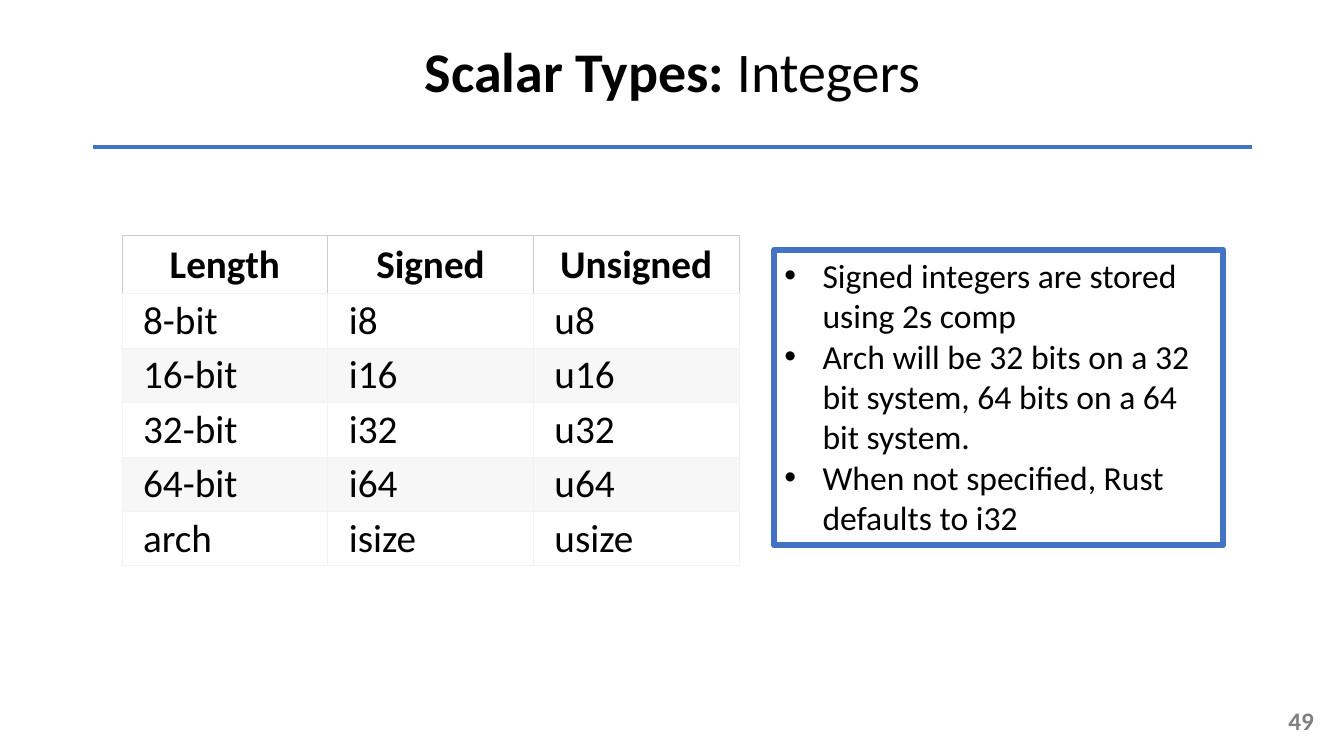
from pptx import Presentation
from pptx.dml.color import RGBColor
from pptx.enum.shapes import MSO_CONNECTOR, MSO_SHAPE
from pptx.enum.text import MSO_ANCHOR, PP_ALIGN
from pptx.oxml.ns import qn
from pptx.util import Inches, Pt
from lxml.etree import SubElement

BLACK = RGBColor(0x00, 0x00, 0x00)
GRAY = RGBColor(0x80, 0x80, 0x80)
BLUE = RGBColor(0x44, 0x72, 0xC4)
BAND = RGBColor(0xF7, 0xF7, 0xF7)
BODY_BORDER = RGBColor(0xF2, 0xF2, 0xF2)
HEADER_BORDER = RGBColor(0xCC, 0xCC, 0xCC)
FONT = "Calibri"

INTEGER_TYPES = [
    ("Length", "Signed", "Unsigned"),
    ("8-bit", "i8", "u8"),
    ("16-bit", "i16", "u16"),
    ("32-bit", "i32", "u32"),
    ("64-bit", "i64", "u64"),
    ("arch", "isize", "usize"),
]
NOTES = [
    "Signed integers are stored using 2s comp",
    "Arch will be 32 bits on a 32 bit system, 64 bits on a 64 bit system.",
    "When not specified, Rust defaults to i32",
]


def format_run(run, size, color=BLACK, bold=False):
    run.font.name = FONT
    run.font.size = Pt(size)
    run.font.bold = bold
    run.font.color.rgb = color


def add_text(slide, box, runs, size, alignment, color=BLACK):
    """Add a one-paragraph text box; runs are (text, bold) pairs."""
    shape = slide.shapes.add_textbox(*map(Inches, box))
    frame = shape.text_frame
    frame.word_wrap = True
    frame.vertical_anchor = MSO_ANCHOR.MIDDLE
    paragraph = frame.paragraphs[0]
    paragraph.alignment = alignment
    for text, bold in runs:
        run = paragraph.add_run()
        run.text = text
        format_run(run, size, color, bold)
    return paragraph


def add_rule(slide, left, right, top):
    rule = slide.shapes.add_connector(
        MSO_CONNECTOR.STRAIGHT, Inches(left), Inches(top), Inches(right), Inches(top))
    rule.line.color.rgb = BLUE
    rule.line.width = Pt(3)
    SubElement(rule._element.spPr, qn("a:effectLst"))


def set_borders(cell, is_header):
    properties = cell._tc.get_or_add_tcPr()
    for side in ("L", "R", "T", "B"):
        color = HEADER_BORDER if is_header and side != "B" else BODY_BORDER
        line = SubElement(properties, qn(f"a:ln{side}"), w=str(Pt(0.75)))
        fill = SubElement(line, qn("a:solidFill"))
        SubElement(fill, qn("a:srgbClr"), val=str(color))


def format_cell(cell, text, row_index):
    is_header = row_index == 0
    set_borders(cell, is_header)
    if not is_header and row_index % 2 == 0:
        cell.fill.solid()
        cell.fill.fore_color.rgb = BAND
    else:
        cell.fill.background()
    cell.vertical_anchor = MSO_ANCHOR.MIDDLE
    if not is_header:
        cell.margin_left = cell.margin_right = Inches(0.21)
        cell.margin_top = cell.margin_bottom = Inches(0.03)
    cell.text = text
    paragraph = cell.text_frame.paragraphs[0]
    paragraph.alignment = PP_ALIGN.CENTER if is_header else PP_ALIGN.LEFT
    format_run(paragraph.runs[0], 28, bold=is_header)


def add_type_table(slide):
    frame = slide.shapes.add_table(
        len(INTEGER_TYPES), len(INTEGER_TYPES[0]),
        Inches(1.21), Inches(2.34), Inches(6.12), Inches(3.27))
    table = frame.table
    table.horz_banding = False
    for row_index, texts in enumerate(INTEGER_TYPES):
        table.rows[row_index].height = Inches(0.54 if row_index else 0.57)
        for column_index, text in enumerate(texts):
            format_cell(table.cell(row_index, column_index), text, row_index)


def add_bullet(paragraph):
    properties = paragraph._p.get_or_add_pPr()
    indent = Inches(0.38)
    properties.set("marL", str(indent))
    properties.set("indent", str(-indent))
    SubElement(properties, qn("a:buFont"), typeface="Arial")
    SubElement(properties, qn("a:buChar"), char="•")


def add_notes_box(slide):
    box = slide.shapes.add_shape(
        MSO_SHAPE.RECTANGLE, Inches(7.68), Inches(2.48), Inches(4.45), Inches(2.93))
    box.shadow.inherit = False
    box.fill.background()
    box.line.color.rgb = BLUE
    box.line.width = Pt(4.5)
    frame = box.text_frame
    frame.word_wrap = True
    frame.vertical_anchor = MSO_ANCHOR.TOP
    frame.text = "\n".join(NOTES)
    for paragraph in frame.paragraphs:
        paragraph.alignment = PP_ALIGN.LEFT
        add_bullet(paragraph)
        format_run(paragraph.runs[0], 24)


def main():
    presentation = Presentation()
    presentation.slide_width = Inches(13.33)
    presentation.slide_height = Inches(7.5)
    slide = presentation.slides.add_slide(presentation.slide_layouts[6])

    add_type_table(slide)
    add_notes_box(slide)
    add_text(slide, (10.13, 6.95, 3, 0.4), [("49", True)], 18, PP_ALIGN.RIGHT, GRAY)
    title = add_text(slide, (0.92, 0.01, 11.5, 1.45),
                     [("Scalar Types: ", True), ("Integers", False)], 40, PP_ALIGN.CENTER)
    title.line_spacing = 0.9
    add_rule(slide, 0.92, 12.42, 1.46)

    presentation.save("out.pptx")


if __name__ == "__main__":
    main()
